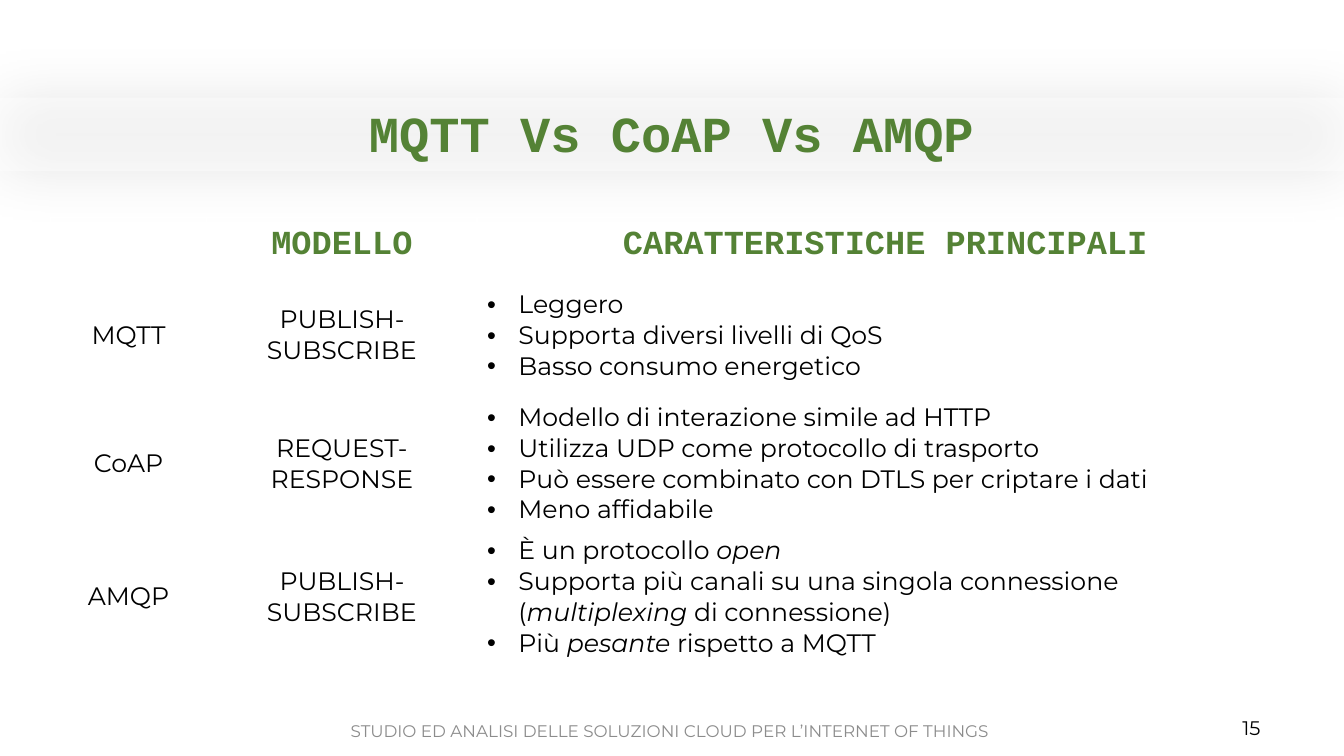
"""Build a slide that compares the MQTT, CoAP and AMQP protocols."""
import lxml.etree
import pptx
import pptx.dml.color
import pptx.enum.shapes
import pptx.enum.text
import pptx.oxml.ns
import pptx.util

Cm = pptx.util.Cm
ALIGN = pptx.enum.text.PP_ALIGN
ANCHOR = pptx.enum.text.MSO_ANCHOR

GREEN = pptx.dml.color.RGBColor(0x54, 0x82, 0x35)
GREY = pptx.dml.color.RGBColor(0x8C, 0x8C, 0x8C)
BLACK = pptx.dml.color.RGBColor(0, 0, 0)
WHITE = pptx.dml.color.RGBColor(0xFF, 0xFF, 0xFF)

HEADING_FONT = "Courier New"
BODY_FONT = "Montserrat"

COLUMN_WIDTHS = (3.94, 6.81, 20.57)
HEADER_HEIGHT = 1.4
PROTOCOL_HEIGHT = 3.12
BULLET_INDENT = Cm(0.79)

HEADINGS = ("", "MODELLO", "CARATTERISTICHE PRINCIPALI")
PROTOCOLS = (
    ("MQTT", "PUBLISH-SUBSCRIBE", (
        "Leggero",
        "Supporta diversi livelli di QoS",
        "Basso consumo energetico")),
    ("CoAP", "REQUEST-RESPONSE", (
        "Modello di interazione simile ad HTTP",
        "Utilizza UDP come protocollo di trasporto",
        "Può essere combinato con DTLS per criptare i dati",
        "Meno affidabile")),
    ("AMQP", "PUBLISH-SUBSCRIBE", (
        "È un protocollo *open*",
        "Supporta più canali su una singola connessione (*multiplexing* di connessione)",
        "Più *pesante* rispetto a MQTT")),
)


def add_xml(parent, tag, **attributes):
    """Append a DrawingML element and return it."""
    return lxml.etree.SubElement(parent, pptx.oxml.ns.qn(tag), attributes)


def format_runs(paragraph, font, size, color, bold=False):
    """Give every run of a paragraph the same type style."""
    for run in paragraph.runs:
        run.font.name = font
        run.font.size = pptx.util.Pt(size)
        run.font.color.rgb = color
        run.font.bold = bold


def add_band(slide):
    """Add the translucent band with its soft shadow."""
    band = slide.shapes.add_shape(
        pptx.enum.shapes.MSO_SHAPE.RECTANGLE, 0, Cm(2.46), Cm(33.87), Cm(1.85))
    band.fill.solid()
    band.fill.fore_color.rgb = WHITE
    band.line.fill.background()
    band.shadow.inherit = False
    properties = band.element.spPr
    fill_color = properties.find(".//" + pptx.oxml.ns.qn("a:srgbClr"))
    add_xml(fill_color, "a:alpha", val="40000")
    effects = properties.find(pptx.oxml.ns.qn("a:effectLst"))
    shadow = add_xml(effects, "a:outerShdw", blurRad=str(pptx.util.Pt(43)),
                     dist=str(pptx.util.Pt(1)), dir="0", algn="ctr", rotWithShape="0")
    shadow_color = add_xml(shadow, "a:srgbClr", val="000000")
    add_xml(shadow_color, "a:alpha", val="24000")


def set_title(slide, text):
    """Place the title in front of the band and format it."""
    title = slide.shapes.title
    title.left, title.top, title.width, title.height = Cm(0.84), Cm(2.69), Cm(32.16), Cm(1.5)
    frame = title.text_frame
    frame.text = text
    frame.auto_size = pptx.enum.text.MSO_AUTO_SIZE.NONE
    frame.vertical_anchor = ANCHOR.MIDDLE
    heading = frame.paragraphs[0]
    heading.alignment = ALIGN.CENTER
    heading.line_spacing = 0.9
    format_runs(heading, HEADING_FONT, 36, GREEN, bold=True)
    title.element.getparent().append(title.element)


def add_note(slide, text, box, size, color, alignment, anchor):
    """Add one line of footer text."""
    frame = slide.shapes.add_textbox(*map(Cm, box)).text_frame
    frame.text = text
    frame.word_wrap = True
    frame.vertical_anchor = anchor
    frame.paragraphs[0].alignment = alignment
    format_runs(frame.paragraphs[0], BODY_FONT, size, color)


def fill_label(cell, text, font, size, color, bold=False):
    """Write a centred label in a cell."""
    cell.text_frame.text = text
    label = cell.text_frame.paragraphs[0]
    label.alignment = ALIGN.CENTER
    format_runs(label, font, size, color, bold)


def fill_bullets(cell, features):
    """Write a bulleted list, with the words between asterisks in italics."""
    frame = cell.text_frame
    for index, feature in enumerate(features):
        bullet = frame.add_paragraph() if index else frame.paragraphs[0]
        for part, words in enumerate(feature.split("*")):
            if words:
                run = bullet.add_run()
                run.text = words
                run.font.italic = part % 2 == 1
        format_runs(bullet, BODY_FONT, 18, BLACK)
        properties = bullet._p.get_or_add_pPr()
        properties.set("marL", str(BULLET_INDENT))
        properties.set("indent", str(-BULLET_INDENT))
        add_xml(properties, "a:buFont", typeface="Arial")
        add_xml(properties, "a:buChar", char="•")


def add_comparison(slide):
    """Add the table that compares the protocols."""
    height = HEADER_HEIGHT + PROTOCOL_HEIGHT * len(PROTOCOLS)
    comparison = slide.shapes.add_table(
        len(PROTOCOLS) + 1, len(HEADINGS), Cm(1.27), Cm(5.49),
        Cm(sum(COLUMN_WIDTHS)), Cm(height)).table
    for column, width in zip(comparison.columns, COLUMN_WIDTHS):
        column.width = Cm(width)
    for index, row in enumerate(comparison.rows):
        row.height = Cm(PROTOCOL_HEIGHT if index else HEADER_HEIGHT)
    for cell in comparison.iter_cells():
        cell.fill.background()
        cell.vertical_anchor = ANCHOR.MIDDLE
    for column, heading in enumerate(HEADINGS):
        fill_label(comparison.cell(0, column), heading, HEADING_FONT, 24, GREEN, bold=True)
    for row, (protocol, model, features) in enumerate(PROTOCOLS, start=1):
        fill_label(comparison.cell(row, 0), protocol, BODY_FONT, 18, BLACK)
        fill_label(comparison.cell(row, 1), model, BODY_FONT, 18, BLACK)
        fill_bullets(comparison.cell(row, 2), features)


def main():
    """Build and save the slide."""
    deck = pptx.Presentation()
    deck.slide_width, deck.slide_height = Cm(33.87), Cm(19.05)
    slide = deck.slides.add_slide(deck.slide_layouts.get_by_name("Title Only"))
    add_band(slide)
    add_note(slide, "STUDIO ED ANALISI DELLE SOLUZIONI CLOUD PER L’INTERNET OF THINGS ",
             (6.78, 17.91, 20.32, 1.02), 12, GREY, ALIGN.CENTER, ANCHOR.MIDDLE)
    add_note(slide, "15", (31.06, 17.91, 1.27, 0.76), 14, BLACK, ALIGN.LEFT, ANCHOR.TOP)
    set_title(slide, "MQTT Vs CoAP Vs AMQP")
    add_comparison(slide)
    deck.save("out.pptx")


if __name__ == "__main__":
    main()
